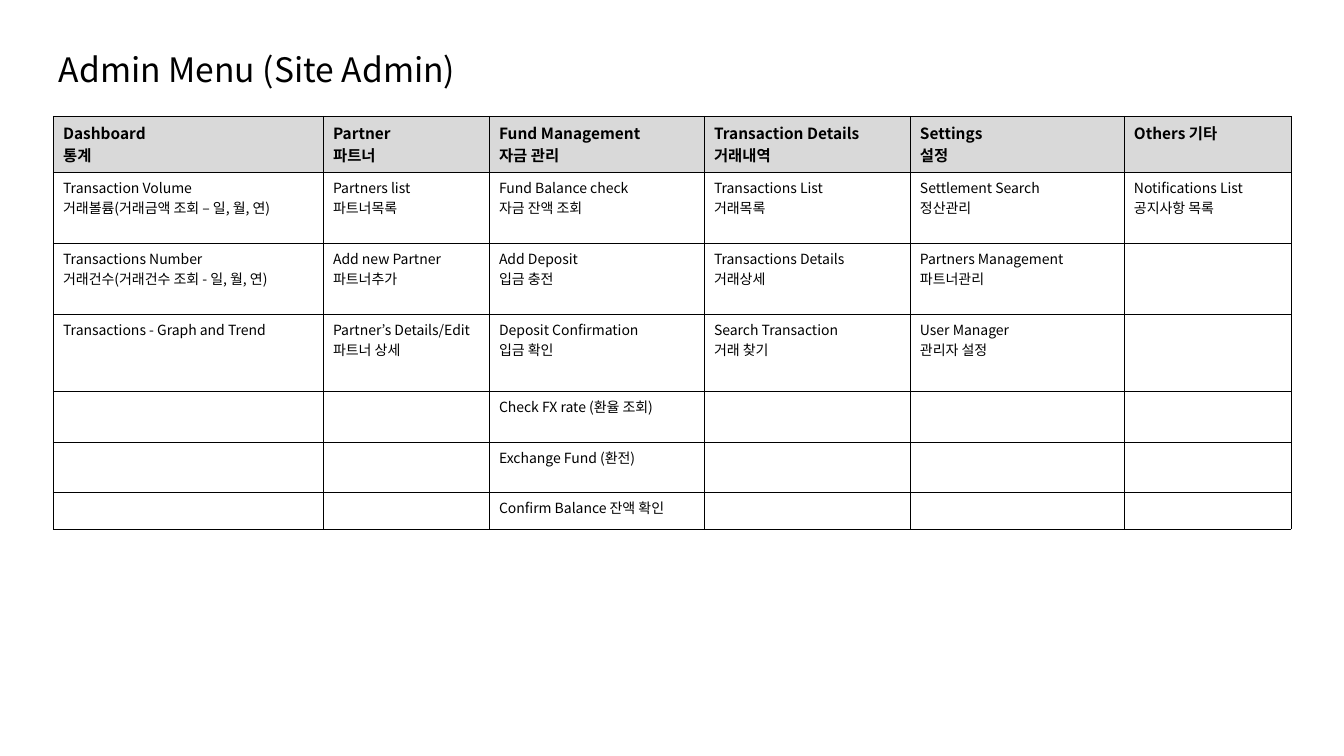
from lxml.etree import SubElement
from pptx import Presentation
from pptx.dml.color import RGBColor
from pptx.oxml.ns import qn
from pptx.util import Pt

PX = 12192000 / 1344
FONT = "Noto Sans CJK KR"
BLACK, WHITE, GREY = "000000", "FFFFFF", "D9D9D9"

COLUMN_WIDTHS = [270, 166, 215, 206, 214, 167]
ROW_HEIGHTS = [56, 71, 71, 77, 51, 50, 37]
MENU = [
    ["Dashboard\n통계", "Partner\n파트너", "Fund Management\n자금 관리",
     "Transaction Details\n거래내역", "Settings\n설정", "Others 기타"],
    ["Transaction Volume\n거래볼륨(거래금액 조회 – 일, 월, 연)", "Partners list\n파트너목록",
     "Fund Balance check\n자금 잔액 조회", "Transactions List\n거래목록",
     "Settlement Search\n정산관리", "Notifications List\n공지사항 목록"],
    ["Transactions Number\n거래건수(거래건수 조회 - 일, 월, 연)", "Add new Partner\n파트너추가",
     "Add Deposit\n입금 충전", "Transactions Details\n거래상세",
     "Partners Management\n파트너관리", ""],
    ["Transactions - Graph and Trend", "Partner’s Details/Edit\n파트너 상세",
     "Deposit Confirmation\n입금 확인", "Search Transaction\n거래 찾기",
     "User Manager\n관리자 설정", ""],
    ["", "", "Check FX rate (환율 조회)", "", "", ""],
    ["", "", "Exchange Fund (환전)", "", "", ""],
    ["", "", "Confirm Balance 잔액 확인", "", "", ""],
]


def px(n):
    return round(n * PX)


def rgb(color):
    return RGBColor.from_string(color)


def write(tf, text, size=10, bold=False, color=BLACK):
    """Put each line of text in its own paragraph; an empty line keeps its size."""
    for i, line in enumerate(text.split("\n")):
        p = tf.add_paragraph() if i else tf.paragraphs[0]
        if not line:
            SubElement(p._p, qn("a:endParaRPr"), sz=str(size * 100))
            continue
        r = p.add_run()
        r.text = line
        r.font.size = Pt(size)
        r.font.bold = bold
        r.font.name = FONT
        r.font.color.rgb = rgb(color)
        SubElement(r.font._element, qn("a:ea"), typeface=FONT)


def add_borders(cell, color=BLACK, width=0.25):
    tc_pr = cell._tc.get_or_add_tcPr()
    for side in ("lnL", "lnR", "lnT", "lnB"):
        ln = SubElement(tc_pr, qn(f"a:{side}"), w=str(Pt(width)))
        fill = SubElement(ln, qn("a:solidFill"))
        SubElement(fill, qn("a:srgbClr"), val=color)


class Deck:
    def __init__(self, width, height):
        self.prs = Presentation()
        self.prs.slide_width, self.prs.slide_height = px(width), px(height)
        self.s = self.prs.slides.add_slide(self.prs.slide_layouts[6])

    def text(self, x, y, w, h, text, **style):
        sp = self.s.shapes.add_textbox(px(x), px(y), px(w), px(h))
        sp.text_frame.word_wrap = False
        write(sp.text_frame, text, **style)

    def table(self, x, y, widths, heights, rows):
        frame = self.s.shapes.add_table(len(heights), len(widths), px(x), px(y),
                                        px(sum(widths)), px(sum(heights)))
        table = frame.table
        table.first_row = table.horz_banding = False
        for column, width in zip(table.columns, widths):
            column.width = px(width)
        for i, (row, height, texts) in enumerate(zip(table.rows, heights, rows)):
            row.height = px(height)
            header = i == 0
            for cell, text in zip(row.cells, texts):
                add_borders(cell)
                cell.fill.solid()
                cell.fill.fore_color.rgb = rgb(GREY if header else WHITE)
                write(cell.text_frame, text, size=11 if header else 10, bold=header)


def main():
    deck = Deck(1344, 756)
    deck.table(53, 116, COLUMN_WIDTHS, ROW_HEIGHTS, MENU)
    deck.text(49, 44, 439, 50, "Admin Menu (Site Admin)", size=24)
    deck.prs.save("out.pptx")


if __name__ == "__main__":
    main()
